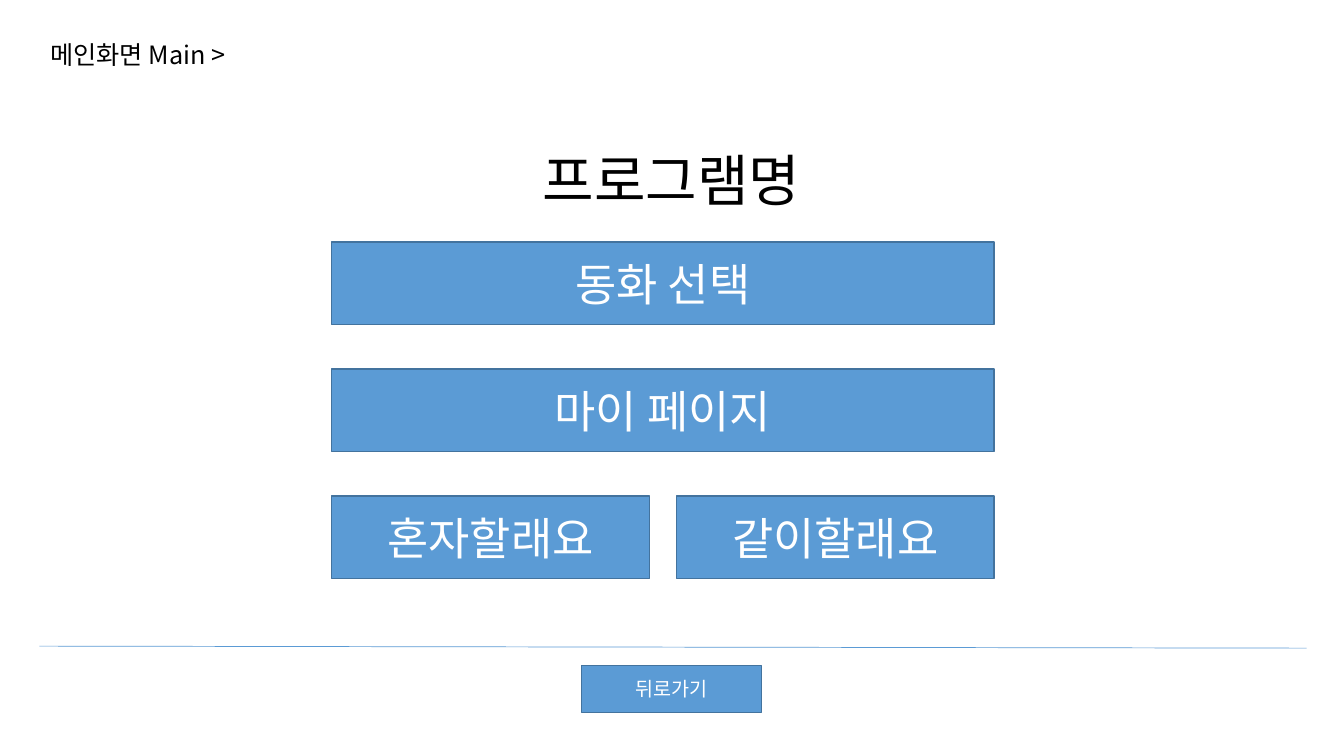
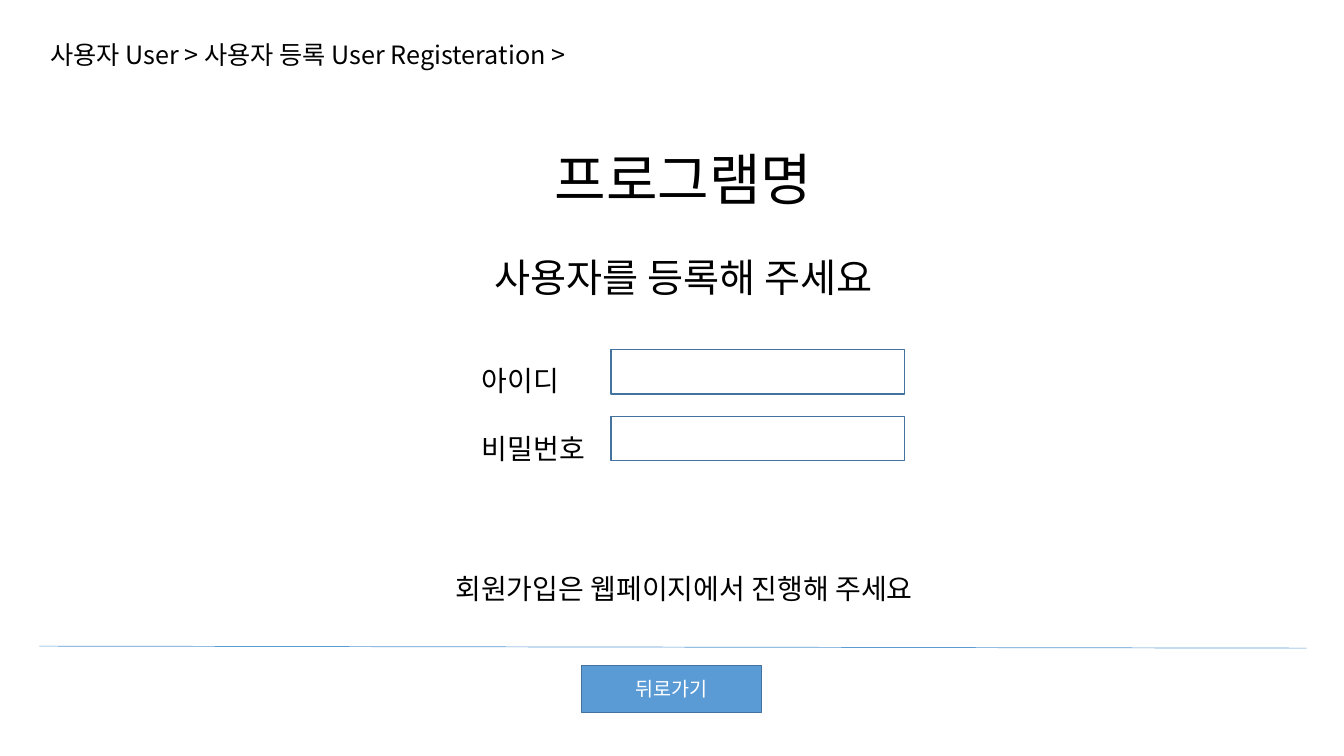
from dataclasses import dataclass
from typing import Optional

import lxml.etree
import pptx
import pptx.dml.color
import pptx.enum.shapes
import pptx.enum.text
import pptx.oxml.ns
import pptx.presentation
import pptx.shapes.autoshape
import pptx.slide
import pptx.text.text
import pptx.util

Inches = pptx.util.Inches
Pt = pptx.util.Pt
Align = pptx.enum.text.PP_ALIGN


@dataclass(frozen=True)
class Theme:
    font: str = "Noto Sans CJK KR"
    text: str = "000000"
    accent: str = "5B9BD5"
    border: str = "43739E"
    button_text: str = "FFFFFF"
    title_size: int = 40
    menu_size: int = 32
    subtitle_size: int = 28
    body_size: int = 20
    breadcrumb_size: int = 18
    back_size: int = 14
    border_width: float = 1
    rule_width: float = 0.5
    line_spacing: float = 1.5


THEME = Theme()


@dataclass(frozen=True)
class Box:
    left: float
    top: float
    width: float
    height: float

    def lengths(self) -> tuple[pptx.util.Length, ...]:
        return tuple(Inches(n) for n in (self.left, self.top, self.width, self.height))


@dataclass(frozen=True)
class Line:
    text: str
    size: int
    align: Optional[Align] = None
    spacing: Optional[float] = THEME.line_spacing
    space_before: float = 0


@dataclass(frozen=True)
class Button:
    text: str
    row: int
    column: int = 0
    columns: int = 1


@dataclass(frozen=True)
class Field:
    label: str
    label_top: float
    input_top: float


BREADCRUMB_BOX = Box(0.4, 0.34, 9.19, 0.4)
BACK_BOX = Box(5.77, 6.6, 1.78, 0.47)
MENU_AREA = Box(3.29, 2.4, 6.57, 0.82)
MENU_PITCH = 1.26
MENU_GAP = 0.27

MENU = (
    Button("동화 선택", 0),
    Button("마이 페이지", 1),
    Button("혼자할래요", 2, 0, 2),
    Button("같이할래요", 2, 1, 2),
)
FIELDS = (Field("아이디", 3.39, 3.47), Field("비밀번호", 4.07, 4.13))


def rgb(value: str) -> pptx.dml.color.RGBColor:
    return pptx.dml.color.RGBColor.from_string(value)


def add_run(paragraph: pptx.text.text._Paragraph, text: str, size: int, color: str) -> None:
    run = paragraph.add_run()
    run.text = text
    run.font.name = THEME.font
    run.font.size = Pt(size)
    run.font.color.rgb = rgb(color)
    east_asian = lxml.etree.SubElement(run._r.get_or_add_rPr(), pptx.oxml.ns.qn("a:ea"))
    east_asian.set("typeface", THEME.font)


def add_text(slide: pptx.slide.Slide, box: Box, *lines: Line) -> None:
    frame = slide.shapes.add_textbox(*box.lengths()).text_frame
    frame.word_wrap = True
    frame.auto_size = pptx.enum.text.MSO_AUTO_SIZE.SHAPE_TO_FIT_TEXT
    for index, line in enumerate(lines):
        paragraph = frame.add_paragraph() if index else frame.paragraphs[0]
        paragraph.alignment = line.align
        paragraph.line_spacing = line.spacing
        paragraph.space_before = Pt(line.space_before)
        add_run(paragraph, line.text, line.size, THEME.text)


def add_outlined_rectangle(slide: pptx.slide.Slide, box: Box) -> pptx.shapes.autoshape.Shape:
    shape = slide.shapes.add_shape(pptx.enum.shapes.MSO_SHAPE.RECTANGLE, *box.lengths())
    shape.shadow.inherit = False
    shape.fill.background()
    shape.line.color.rgb = rgb(THEME.border)
    shape.line.width = Pt(THEME.border_width)
    return shape


def add_button(slide: pptx.slide.Slide, box: Box, text: str, size: int) -> None:
    shape = add_outlined_rectangle(slide, box)
    shape.fill.solid()
    shape.fill.fore_color.rgb = rgb(THEME.accent)
    shape.text_frame.vertical_anchor = pptx.enum.text.MSO_ANCHOR.MIDDLE
    paragraph = shape.text_frame.paragraphs[0]
    paragraph.alignment = Align.CENTER
    add_run(paragraph, text, size, THEME.button_text)


def add_screen(presentation: pptx.presentation.Presentation, breadcrumb: str) -> pptx.slide.Slide:
    """Add a slide with the breadcrumb, footer rule and back button of every screen."""
    slide = presentation.slides.add_slide(presentation.slide_layouts[6])
    add_text(slide, BREADCRUMB_BOX, Line(breadcrumb, THEME.breadcrumb_size, spacing=None))
    rule = slide.shapes.add_connector(
        pptx.enum.shapes.MSO_CONNECTOR.STRAIGHT,
        Inches(0.39), Inches(6.41), Inches(12.96), Inches(6.43),
    )
    rule.line.color.rgb = rgb(THEME.accent)
    rule.line.width = Pt(THEME.rule_width)
    lxml.etree.SubElement(rule._element.spPr, pptx.oxml.ns.qn("a:effectLst"))
    add_button(slide, BACK_BOX, "뒤로가기", THEME.back_size)
    return slide


def menu_box(button: Button) -> Box:
    width = (MENU_AREA.width - MENU_GAP * (button.columns - 1)) / button.columns
    return Box(
        MENU_AREA.left + button.column * (width + MENU_GAP),
        MENU_AREA.top + button.row * MENU_PITCH,
        width,
        MENU_AREA.height,
    )


def build_main_screen(presentation: pptx.presentation.Presentation, title: Line) -> None:
    slide = add_screen(presentation, "메인화면 Main >")
    for button in MENU:
        add_button(slide, menu_box(button), button.text, THEME.menu_size)
    add_text(slide, Box(1.5, 1.06, 10.32, 1.03), title)


def build_registration_screen(presentation: pptx.presentation.Presentation, title: Line) -> None:
    slide = add_screen(presentation, "사용자 User > 사용자 등록 User Registeration >")
    for field in FIELDS:
        add_text(slide, Box(4.68, field.label_top, 1.54, 0.56), Line(field.label, THEME.body_size))
        add_outlined_rectangle(slide, Box(6.06, field.input_top, 2.91, 0.44))
    add_text(
        slide,
        Box(3.61, 5.45, 6.35, 0.56),
        Line("회원가입은 웹페이지에서 진행해 주세요", THEME.body_size, Align.CENTER),
    )
    subtitle = Line("사용자를 등록해 주세요", THEME.subtitle_size, Align.CENTER, space_before=13)
    add_text(slide, Box(1.62, 1.05, 10.32, 2.02), title, subtitle)


def main() -> None:
    presentation = pptx.Presentation()
    presentation.slide_width = Inches(13.33)
    presentation.slide_height = Inches(7.5)
    title = Line("프로그램명", THEME.title_size, Align.CENTER)
    build_main_screen(presentation, title)
    build_registration_screen(presentation, title)
    presentation.save("out.pptx")


if __name__ == "__main__":
    main()
